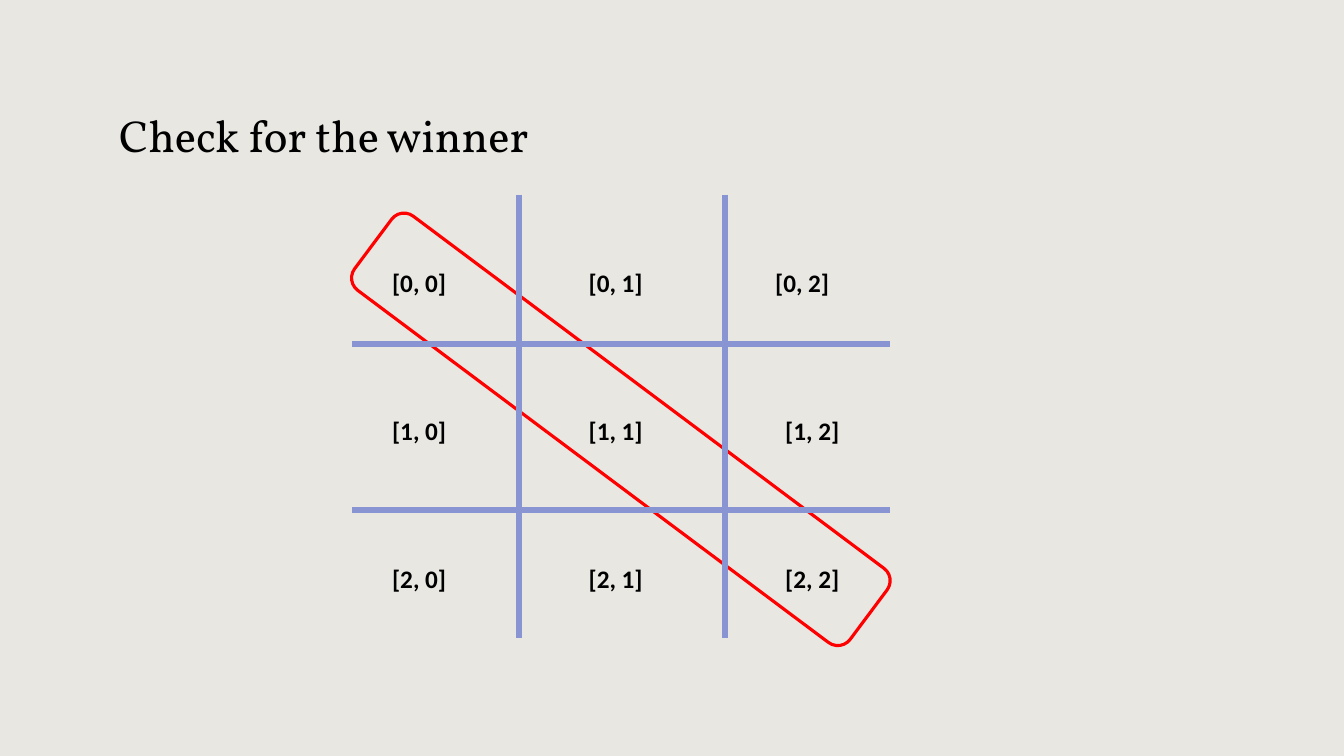
from lxml.etree import SubElement
from pptx import Presentation
from pptx.dml.color import RGBColor
from pptx.enum.shapes import MSO_CONNECTOR, MSO_SHAPE
from pptx.enum.text import MSO_ANCHOR, MSO_AUTO_SIZE, PP_ALIGN
from pptx.oxml.ns import qn
from pptx.util import Pt

COLORS = {
    "background": "E8E7E2",
    "text": "000000",
    "grid": "8995D3",
    "winner": "FF0000",
}
GRID_LEFT, GRID_RIGHT = 251.3, 635.8
GRID_TOP, GRID_BOTTOM = 139, 455.8
COLUMN_LINES = (370.8, 517.7)
ROW_LINES = (245.5, 364.3)
LABEL_LEFT, LABEL_TOP = 273, 187.2
LABEL_STEP_X, LABEL_STEP_Y = 140.4, 105.8


def color(name):
    return RGBColor.from_string(COLORS[name])


def format_text(frame, font_name, size, bold=False):
    for para in frame.paragraphs:
        for span in para.runs:
            span.font.name = font_name
            span.font.size = Pt(size)
            span.font.bold = bold
            span.font.color.rgb = color("text")


def set_title(page, text):
    title = page.shapes.title
    title.left, title.top, title.width, title.height = Pt(77.8), Pt(31), Pt(804.2), Pt(87.8)
    frame = title.text_frame
    frame.text = text
    frame.auto_size = MSO_AUTO_SIZE.NONE
    frame.vertical_anchor = MSO_ANCHOR.BOTTOM
    frame.paragraphs[0].alignment = PP_ALIGN.LEFT
    format_text(frame, "Vollkorn", 32)


def add_grid_line(page, x1, y1, x2, y2):
    line = page.shapes.add_connector(MSO_CONNECTOR.STRAIGHT, Pt(x1), Pt(y1), Pt(x2), Pt(y2))
    line.line.color.rgb = color("grid")
    line.line.width = Pt(4.5)
    SubElement(line._element.spPr, qn("a:effectLst"))


def add_cell_label(page, row, column):
    left = LABEL_LEFT + column * LABEL_STEP_X
    if (row, column) == (0, 2):
        left -= 7.2
    top = LABEL_TOP + row * LABEL_STEP_Y
    box = page.shapes.add_textbox(Pt(left), Pt(top), Pt(59.8), Pt(29))
    frame = box.text_frame
    frame.text = f"[{row}, {column}]"
    frame.word_wrap = False
    frame.auto_size = MSO_AUTO_SIZE.SHAPE_TO_FIT_TEXT
    format_text(frame, "Calibri", 18, bold=True)


def add_winner_outline(page):
    """Ring the winning diagonal."""
    outline = page.shapes.add_shape(
        MSO_SHAPE.ROUNDED_RECTANGLE, Pt(222.5), Pt(273.6), Pt(442), Pt(66.2))
    outline.rotation = 36.8
    outline.shadow.inherit = False
    outline.fill.background()
    outline.line.color.rgb = color("winner")
    outline.line.width = Pt(2.25)


def main():
    deck = Presentation()
    deck.slide_width, deck.slide_height = Pt(960), Pt(540)
    page = deck.slides.add_slide(deck.slide_layouts.get_by_name("Title Only"))
    page.background.fill.solid()
    page.background.fill.fore_color.rgb = color("background")

    set_title(page, "Check for the winner")
    add_winner_outline(page)
    for x in COLUMN_LINES:
        add_grid_line(page, x, GRID_TOP, x, GRID_BOTTOM)
    for y in ROW_LINES:
        add_grid_line(page, GRID_LEFT, y, GRID_RIGHT, y)
    for row in range(3):
        for column in range(3):
            add_cell_label(page, row, column)
    deck.save("out.pptx")


if __name__ == "__main__":
    main()
